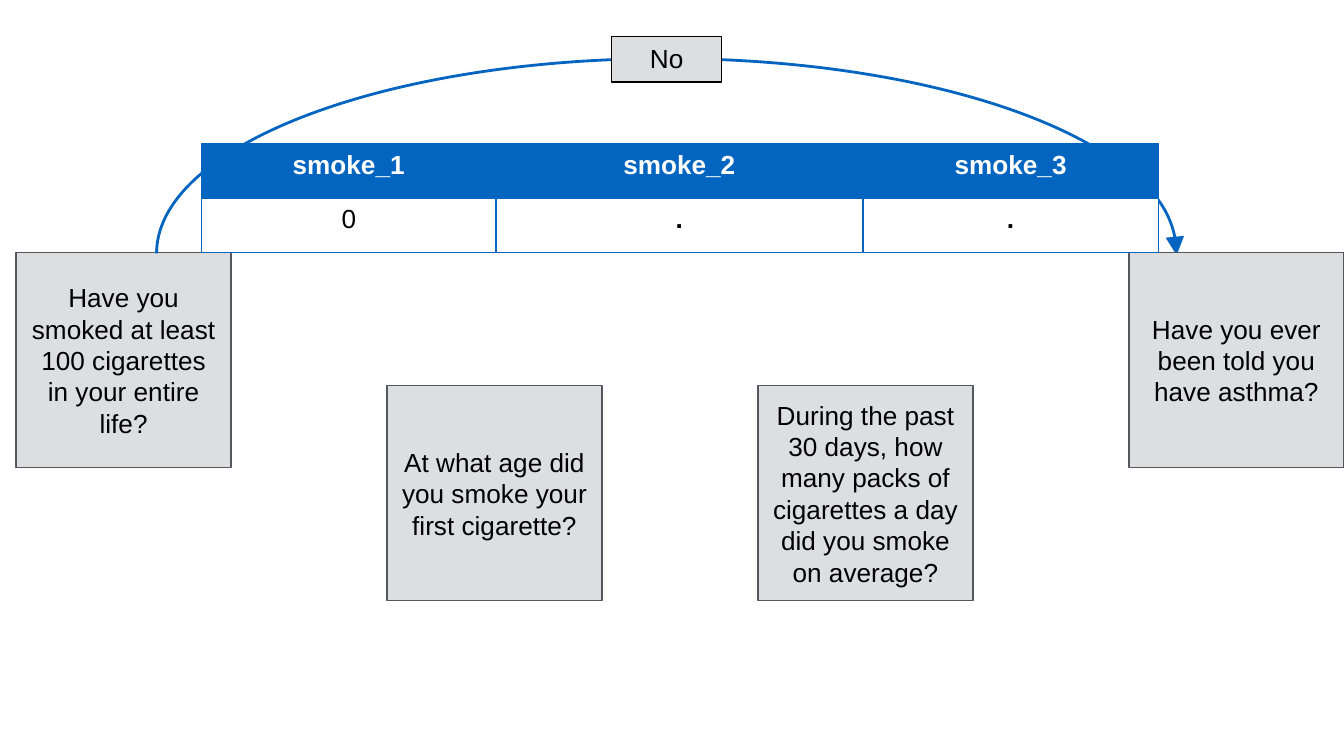
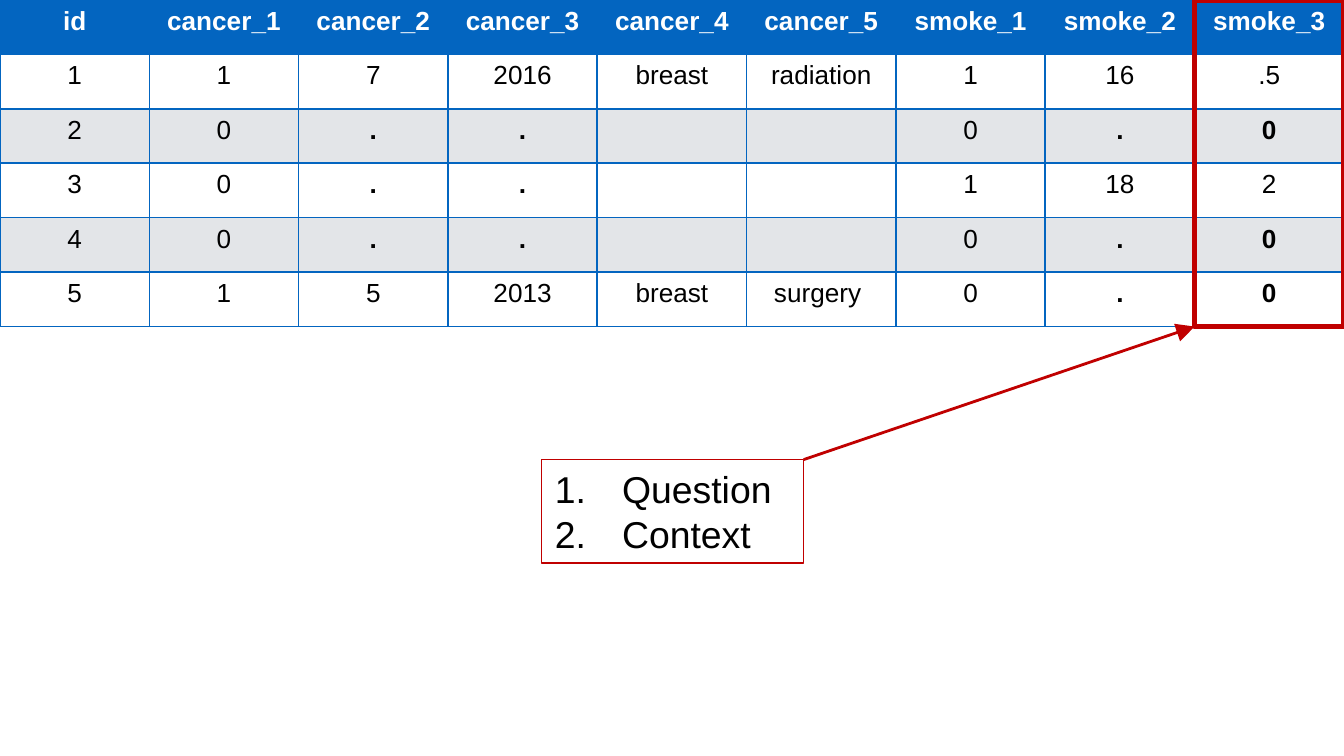
import pptx
import pptx.dml.color
import pptx.enum.shapes
import pptx.enum.text
import pptx.oxml.ns
import pptx.util
from lxml import etree

Inches = pptx.util.Inches
SHAPES = pptx.enum.shapes.MSO_SHAPE
ALIGN = pptx.enum.text.PP_ALIGN
ANCHOR = pptx.enum.text.MSO_ANCHOR
AUTO_SIZE = pptx.enum.text.MSO_AUTO_SIZE

# Shared look
SLIDE_WIDTH = 10
SLIDE_HEIGHT = SLIDE_WIDTH * 9 / 16
FONT = "Arial"
BLACK, WHITE = "000000", "FFFFFF"
BLUE, RED = "0365C0", "C00000"
BOX_FILL, BOX_LINE, BAND = "DCDEE0", "53585F", "E3E5E8"
ROW_HEIGHT = 0.81 / 2

QUESTIONS = [
    ("Have you smoked at least 100 cigarettes in your entire life?", 1.88),
    ("At what age did you smoke your first cigarette?", 2.87),
    ("During the past 30 days, how many packs of cigarettes a day did you smoke on average?", 2.87),
    ("Have you ever been told you have asthma?", 1.88),
]
SKIP_ROWS = [
    ["smoke_1", "smoke_2", "smoke_3"],
    ["0", ".", "."],
]
SURVEY_ROWS = [
    ["id", "cancer_1", "cancer_2", "cancer_3", "cancer_4", "cancer_5",
     "smoke_1", "smoke_2", "smoke_3"],
    ["1", "1", "7", "2016", "breast", "radiation", "1", "16", ".5"],
    ["2", "0", ".", ".", "", "", "0", ".", "0"],
    ["3", "0", ".", ".", "", "", "1", "18", "2"],
    ["4", "0", ".", ".", "", "", "0", ".", "0"],
    ["5", "1", "5", "2013", "breast", "surgery ", "0", ".", "0"],
]


def color(value):
    return pptx.dml.color.RGBColor.from_string(value)


def add_element(parent, tag, **attributes):
    return etree.SubElement(parent, pptx.oxml.ns.qn(tag), **attributes)


def set_line(shape, line_color, width):
    shape.line.color.rgb = color(line_color)
    shape.line.width = pptx.util.Pt(width)


def add_arrowhead(shape, end):
    """Put a large triangle at the "headEnd" or "tailEnd" of a line."""
    add_element(shape.line._get_or_add_ln(), f"a:{end}",
                type="triangle", w="lg", len="lg")


def style_paragraph(paragraph, size, text_color=BLACK, bold=False, align=ALIGN.CENTER):
    paragraph.alignment = align
    font = paragraph.font
    font.name, font.size, font.bold = FONT, pptx.util.Pt(size), bold
    font.color.rgb = color(text_color)


def add_outline(slide, box, line_color, width, fill=None, kind=SHAPES.RECTANGLE):
    shape = slide.shapes.add_shape(kind, *map(Inches, box))
    shape.shadow.inherit = False
    if fill:
        shape.fill.solid()
        shape.fill.fore_color.rgb = color(fill)
    else:
        shape.fill.background()
    set_line(shape, line_color, width)
    return shape


def add_text_box(slide, box, line_color):
    shape = slide.shapes.add_textbox(*map(Inches, box))
    set_line(shape, line_color, 0.75)
    shape.text_frame.word_wrap = True
    shape.text_frame.auto_size = AUTO_SIZE.SHAPE_TO_FIT_TEXT
    return shape


def add_question(slide, box, text):
    shape = add_outline(slide, box, BOX_LINE, 0.75, BOX_FILL)
    frame = shape.text_frame
    frame.text = text
    frame.vertical_anchor = ANCHOR.MIDDLE
    frame.margin_left = frame.margin_right = Inches(0.1)
    frame.margin_top = frame.margin_bottom = Inches(0.1)
    style_paragraph(frame.paragraphs[0], 14)


def style_cell(cell, text, fill, text_color, bold):
    cell.text = text
    style_paragraph(cell.text_frame.paragraphs[0], 14, text_color, bold)
    properties = cell._tc.get_or_add_tcPr()
    for side in ("a:lnL", "a:lnR", "a:lnT", "a:lnB"):
        border = add_element(properties, side, w=str(pptx.util.Pt(1)))
        solid = add_element(border, "a:solidFill")
        add_element(solid, "a:srgbClr", val=BLUE)
    cell.fill.solid()
    cell.fill.fore_color.rgb = color(fill)


def add_data_table(slide, left, top, widths, rows):
    frame = slide.shapes.add_table(
        len(rows), len(widths), Inches(left), Inches(top),
        Inches(sum(widths)), Inches(ROW_HEIGHT * len(rows)))
    table = frame.table
    for column, width in zip(table.columns, widths):
        column.width = Inches(width)
    for row_index, values in enumerate(rows):
        table.rows[row_index].height = Inches(ROW_HEIGHT)
        header = row_index == 0
        fill = BLUE if header else (WHITE if row_index % 2 else BAND)
        for column_index, value in enumerate(values):
            # Missing values and zeros filled in for smoke_3 stand out
            filled_in = rows[0][column_index] == "smoke_3" and value == "0"
            style_cell(table.cell(row_index, column_index), value, fill,
                       WHITE if header else BLACK,
                       header or value == "." or filled_in)


def build_skip_pattern(slide):
    question_size, question_step = 1.6, 2.76
    boxes = [(0.12 + index * question_step, top, question_size, question_size)
             for index, (_, top) in enumerate(QUESTIONS)]
    add_question(slide, boxes[0], QUESTIONS[0][0])

    # Skip arrow from the first question to the last
    arc = add_outline(slide, (3.51, -1.91, 2.9, 7.59), BLUE, 1.5, kind=SHAPES.ARC)
    arc.rotation = 270
    arc.adjustments[0] = 162
    arc.adjustments[1] = 54.12
    add_arrowhead(arc, "tailEnd")

    for box, (text, _) in zip(boxes[1:], QUESTIONS[1:]):
        add_question(slide, box, text)
    add_data_table(slide, 1.5, 1.07, [2.19, 2.73, 2.2], SKIP_ROWS)

    # Answer on the arrow
    answer = add_text_box(slide, (4.55, 0.27, 0.82, 0.34), BLACK)
    answer.fill.solid()
    answer.fill.fore_color.rgb = color(BOX_FILL)
    answer.text_frame.text = "No"
    style_paragraph(answer.text_frame.paragraphs[0], 14)


def add_numbered_list(slide, box, items):
    shape = add_text_box(slide, box, RED)
    frame = shape.text_frame
    frame.text = "\n".join(items)
    for paragraph in frame.paragraphs:
        properties = paragraph._p.get_or_add_pPr()
        properties.set("marL", str(Inches(0.5)))
        properties.set("indent", str(-Inches(0.5)))
        add_element(properties, "a:buAutoNum", type="arabicPeriod")
        style_paragraph(paragraph, 20, align=ALIGN.LEFT)


def build_survey_data(slide):
    column_count = len(SURVEY_ROWS[0])
    column_width = SLIDE_WIDTH / column_count
    table_height = ROW_HEIGHT * len(SURVEY_ROWS)
    add_data_table(slide, 0, 0, [column_width] * column_count, SURVEY_ROWS)

    # Checks to make, pointing at the last column
    list_left, list_top, list_width = 4.03, 3.42, 1.95
    add_numbered_list(slide, (list_left, list_top, list_width, 0.77),
                      ["Question", "Context"])
    column_left = SLIDE_WIDTH - column_width
    pointer = slide.shapes.add_connector(
        pptx.enum.shapes.MSO_CONNECTOR.STRAIGHT,
        Inches(column_left), Inches(table_height),
        Inches(list_left + list_width), Inches(list_top))
    set_line(pointer, RED, 1.5)
    add_arrowhead(pointer, "headEnd")
    add_element(pointer._element.spPr, "a:effectLst")
    add_outline(slide, (column_left, 0, column_width, table_height), RED, 3)


def main():
    presentation = pptx.Presentation()
    presentation.slide_width = Inches(SLIDE_WIDTH)
    presentation.slide_height = Inches(SLIDE_HEIGHT)
    blank = presentation.slide_layouts[6]
    build_skip_pattern(presentation.slides.add_slide(blank))
    build_survey_data(presentation.slides.add_slide(blank))
    presentation.save("out.pptx")


if __name__ == "__main__":
    main()
